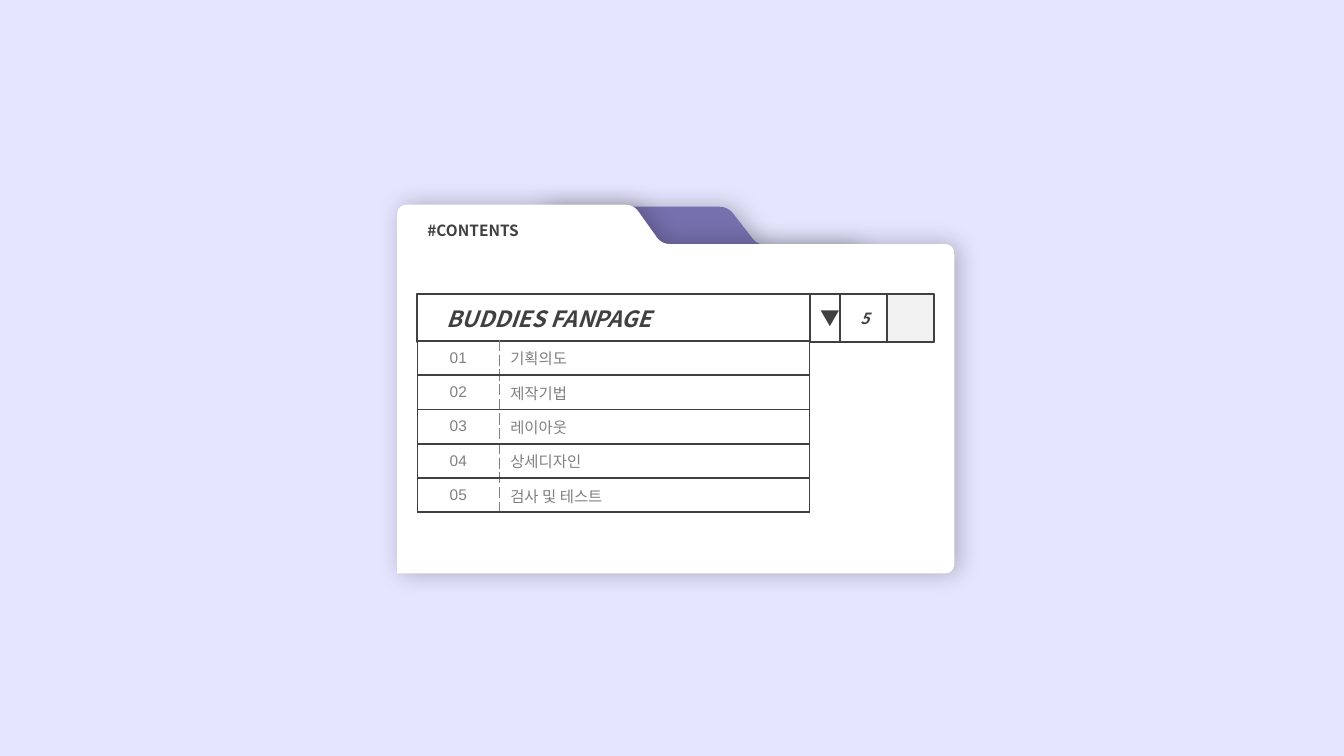
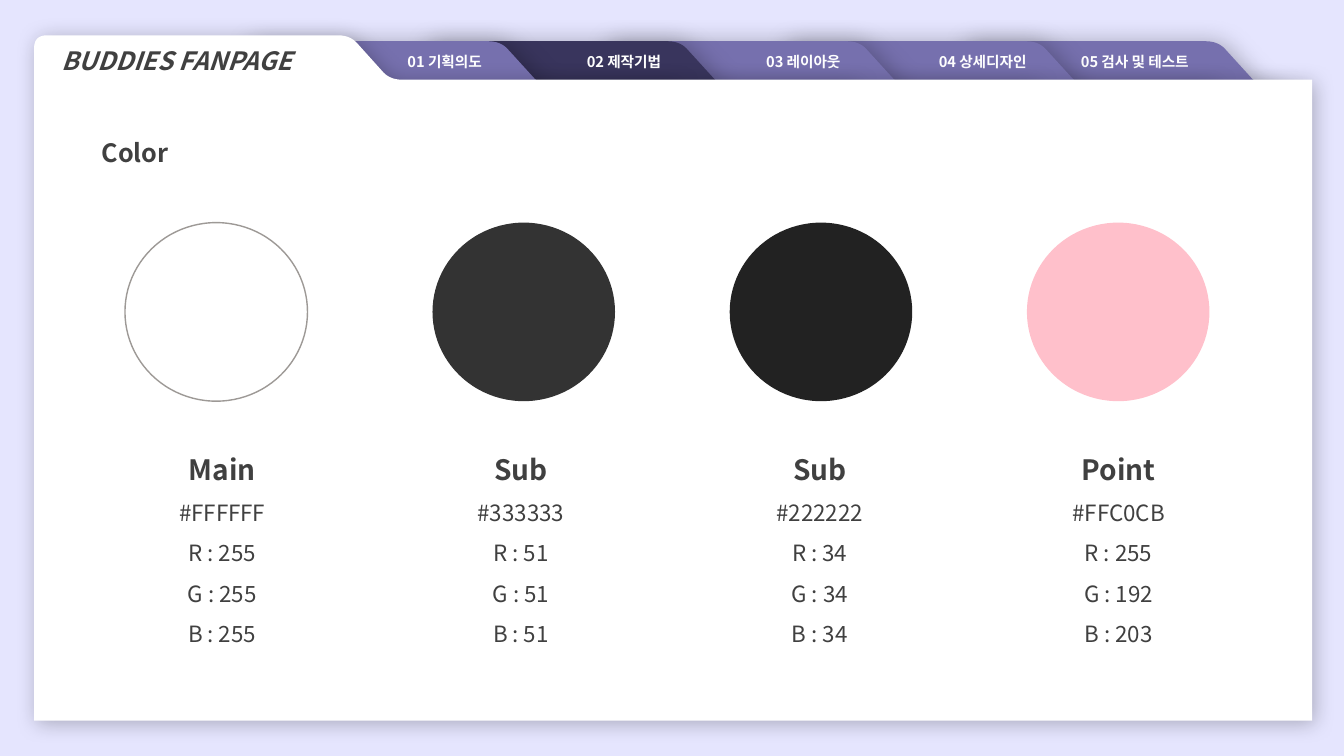
import pptx
import pptx.util
import pptx.dml.color
import pptx.enum.shapes
import pptx.enum.text
import pptx.oxml
import pptx.oxml.ns
from lxml import etree

Cm, Pt = pptx.util.Cm, pptx.util.Pt
SHAPES = pptx.enum.shapes.MSO_SHAPE
ALIGN = pptx.enum.text.PP_ALIGN
ANCHOR = pptx.enum.text.MSO_ANCHOR
qn = pptx.oxml.ns.qn

BRAND = "BUDDIES FANPAGE"
CHAPTERS = ["기획의도", "제작기법", "레이아웃", "상세디자인", "검사 및 테스트"]
# name, colour, left edge of the disc in cm
SWATCHES = [
    ("Main", "FFFFFF", 3.15),
    ("Sub", "333333", 10.9),
    ("Sub", "222222", 18.39),
    ("Point", "FFC0CB", 25.88),
]


def rgb(value):
    return pptx.dml.color.RGBColor.from_string(value)


def curve(start, control, end, steps=10):
    """Points of a quadratic curve, both ends included."""
    points = []
    for step in range(steps + 1):
        t = step / steps
        points.append(tuple((1 - t) ** 2 * a + 2 * t * (1 - t) * b + t ** 2 * c
                            for a, b, c in zip(start, control, end)))
    return points


class Deck:
    BACKGROUND, PAPER, INK, GREY = "E5E5FE", "FFFFFF", "404040", "808080"
    TAB, ACTIVE_TAB = "7670AE", "39355D"
    FONT = "Noto Sans CJK KR"

    def __init__(self):
        self.presentation = pptx.Presentation()
        self.presentation.slide_width = Cm(33.87)
        self.presentation.slide_height = Cm(19.05)
        self.slide = None

    def add_slide(self):
        self.slide = self.presentation.slides.add_slide(self.presentation.slide_layouts[6])
        fill = self.slide.background.fill
        fill.solid()
        fill.fore_color.rgb = rgb(self.BACKGROUND)

    def style(self, paragraph, size, color=INK, bold=False, italic=False,
              align=ALIGN.LEFT, spacing=None, font=FONT):
        paragraph.alignment = align
        if spacing:
            paragraph.line_spacing = spacing
        for run in paragraph.runs:
            run.font.size, run.font.name = Pt(size), font
            run.font.bold, run.font.italic = bold, italic
            run.font.color.rgb = rgb(color)
            east_asian = etree.SubElement(run.font._element, qn("a:ea"))
            east_asian.set("typeface", self.FONT)

    def paint(self, shape, fill, line=None, width=1.5):
        shape.shadow.inherit = False
        shape.fill.solid()
        shape.fill.fore_color.rgb = rgb(fill)
        if line:
            shape.line.color.rgb = rgb(line)
            shape.line.width = Pt(width)
        else:
            shape.line.fill.background()

    def cast_shadow(self, shape, blur=17, angle=0):
        effects = shape._element.spPr.find(qn("a:effectLst"))
        effects.append(pptx.oxml.parse_xml(
            f'<a:outerShdw {pptx.oxml.ns.nsdecls("a")} blurRad="{Pt(blur)}" '
            f'dist="{Pt(3)}" dir="{angle * 60000}" algn="ctr" rotWithShape="0">'
            '<a:srgbClr val="000000"><a:alpha val="25000"/></a:srgbClr></a:outerShdw>'))

    def folder(self, left, top, tab_end, slope, right, bottom, fill,
               radius=0.33, right_radius=0, blur=17, angle=0):
        """Folder sheet: tab at the top left, slope (width, height) down to the body."""
        width, height = slope

        def on_slope(x, y):
            return tab_end + x * width, top + y * height

        body = top + height
        points = curve((left, top + radius), (left, top), (left + radius, top))
        points += curve(on_slope(0, 0), on_slope(0.18, 0), on_slope(0.29, 0.16))
        points += curve(on_slope(0.71, 0.84), on_slope(0.82, 1), on_slope(1, 1))
        if right_radius:
            points += curve((right - right_radius, body), (right, body),
                            (right, body + right_radius))
            points += curve((right, bottom - right_radius), (right, bottom),
                            (right - right_radius, bottom))
        else:
            points += [(right, body), (right, bottom)]
        points.append((left, bottom))

        outline = [(Cm(x), Cm(y)) for x, y in points]
        builder = self.slide.shapes.build_freeform(*outline[0])
        builder.add_line_segments(outline[1:], close=True)
        sheet = builder.convert_to_shape()
        self.paint(sheet, fill)
        self.cast_shadow(sheet, blur, angle)
        return sheet

    def tab(self, left, width, label, fill, margins):
        """Navigation tab of the folder; margins are left and right."""
        top = 1.04
        sheet = self.folder(left, top, left + 6.15, (1.65, 1.12), left + width, 3.51, fill)
        frame = sheet.text_frame
        frame.text = label
        frame.word_wrap = True
        frame.vertical_anchor = ANCHOR.TOP
        frame.margin_top = Cm(0.3)
        frame.margin_left, frame.margin_right = map(Cm, margins)
        self.style(frame.paragraphs[0], 10.5, self.PAPER, bold=True, align=ALIGN.CENTER)

    def box(self, left, top, width, height, fill=PAPER, text="", indent=0.25, **style):
        box = self.slide.shapes.add_shape(
            SHAPES.RECTANGLE, Cm(left), Cm(top), Cm(width), Cm(height))
        self.paint(box, fill, self.INK)
        if text:
            frame = box.text_frame
            frame.text = text
            frame.margin_left = Cm(indent)
            frame.vertical_anchor = ANCHOR.MIDDLE
            self.style(frame.paragraphs[0], **style)

    def disc(self, left, top, width, height, fill, line=None):
        disc = self.slide.shapes.add_shape(
            SHAPES.OVAL, Cm(left), Cm(top), Cm(width), Cm(height))
        self.paint(disc, fill, line, 1)

    def text(self, left, top, width, height, lines, size, body_size=None, **style):
        """Bold first line, the rest regular in body_size."""
        box = self.slide.shapes.add_textbox(Cm(left), Cm(top), Cm(width), Cm(height))
        frame = box.text_frame
        frame.word_wrap = True
        frame.text = "\n".join(lines)
        heading, *body = frame.paragraphs
        self.style(heading, size, bold=True, **style)
        for paragraph in body:
            self.style(paragraph, body_size, **style)

    def border(self, cell, sides):
        """Borders in the order left, right, top, bottom, as (colour, points, dash)."""
        properties = cell._tc.get_or_add_tcPr()
        for place, (side, (color, width, dash)) in enumerate(zip("LRTB", sides)):
            properties.insert(place, pptx.oxml.parse_xml(
                f'<a:ln{side} {pptx.oxml.ns.nsdecls("a")} w="{Pt(width)}">'
                f'<a:solidFill><a:srgbClr val="{color}"/></a:solidFill>'
                f'<a:prstDash val="{dash}"/></a:ln{side}>'))

    def contents_table(self, left, top, widths, row_height, rows):
        table = self.slide.shapes.add_table(
            len(rows), len(widths), Cm(left), Cm(top),
            Cm(sum(widths)), Cm(row_height * len(rows))).table
        table.first_row = table.horz_banding = False
        solid, dashed = (self.INK, 1.5, "solid"), (self.GREY, 1, "dash")
        sides = [(solid, dashed, solid, solid), (dashed, solid, solid, solid)]
        for column, width in zip(table.columns, widths):
            column.width = Cm(width)
        for row, values in zip(table.rows, rows):
            row.height = Cm(row_height)
            for cell, value, edges, align in zip(
                    row.cells, values, sides, (ALIGN.CENTER, ALIGN.LEFT)):
                cell.text = value
                cell.vertical_anchor = ANCHOR.MIDDLE
                cell.margin_left = cell.margin_right = Cm(0.28)
                cell.margin_top = cell.margin_bottom = Cm(0.15)
                cell.fill.solid()
                cell.fill.fore_color.rgb = rgb(self.PAPER)
                self.border(cell, edges)
                self.style(cell.text_frame.paragraphs[0], 11, self.GREY,
                           align=align, font="Arial")


def contents_slide(deck, chapters):
    deck.add_slide()
    deck.folder(13.61, 5.21, 18.11, (1.22, 0.97), 21.55, 7.34, deck.TAB, radius=0.25)
    deck.folder(10.01, 5.16, 15.75, (1.14, 0.99), 24.05, 14.45, deck.PAPER,
                radius=0.27, right_radius=0.27)

    top, height = 7.42, 1.19
    deck.box(10.52, top, 9.98, height, text=BRAND, indent=0.74, size=16, bold=True, italic=True)
    deck.box(20.42, top, 0.86, height, text="▼", size=14, align=ALIGN.CENTER)
    deck.box(21.18, top, 1.24, height, text=str(len(chapters)), size=11,
             bold=True, italic=True, align=ALIGN.CENTER)
    deck.box(22.35, top, 1.19, height, fill="F2F2F2")
    deck.contents_table(10.52, 8.59, (2.06, 7.82), 0.86, chapters)
    deck.text(10.52, 5.44, 3.73, 0.74, ["#CONTENTS"], 11)


def color_slide(deck, chapters, active):
    deck.add_slide()
    last = len(chapters) - 1
    for index in range(last, -1, -1):
        deck.tab(6.15 + 4.52 * index, 8 if index == last else 10.85,
                 " ".join(chapters[index]),
                 deck.ACTIVE_TAB if index == active else deck.TAB,
                 (0.74, 0) if index == last else (0.25, 0.99))
    deck.folder(0.86, 0.89, 8.51, (1.63, 1.12), 33.07, 18.16, deck.PAPER, blur=15, angle=45)
    deck.text(1.3, 1.02, 7.37, 1.02, [BRAND], 18, italic=True)
    deck.text(2.31, 2.95, 29.39, 1.27, ["Color"], 18, spacing=1.5)

    for index, (name, color, disc_left) in enumerate(SWATCHES):
        deck.disc(disc_left, 5.61, 4.6, 4.5, color, "9D9996" if color == deck.PAPER else None)
        channels = [f"{letter} : {value}" for letter, value in zip("RGB", rgb(color))]
        deck.text(2.44 + 7.53 * index, 10.85, 6.32, 6.65, [name, f"#{color}", *channels],
                  20, body_size=16, align=ALIGN.CENTER, spacing=1.5)


def main():
    deck = Deck()
    chapters = [(f"{number:02}", title) for number, title in enumerate(CHAPTERS, 1)]
    contents_slide(deck, chapters)
    color_slide(deck, chapters, active=1)
    deck.presentation.save("out.pptx")


if __name__ == "__main__":
    main()
